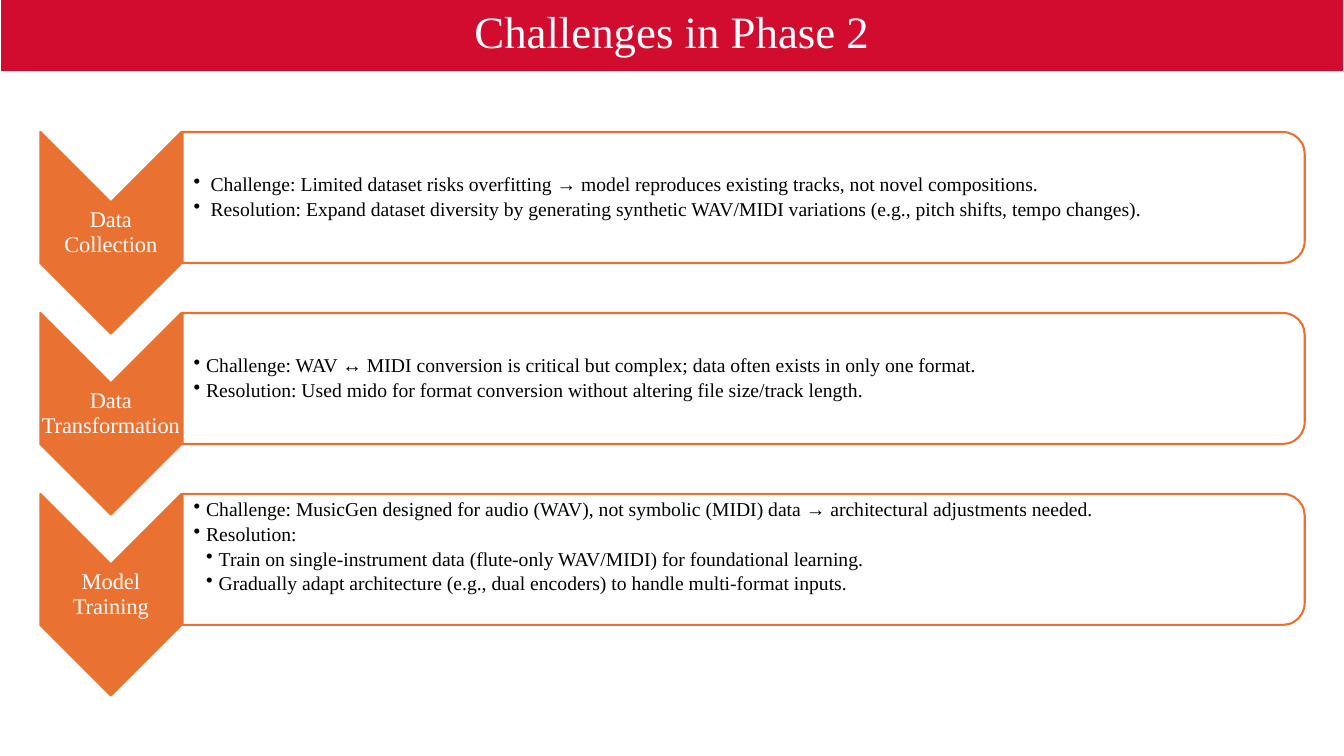
import pptx
import pptx.dml.color
import pptx.enum.shapes
import pptx.enum.text
import pptx.oxml
import pptx.oxml.ns
import pptx.util
from pptx.util import Inches

RED = pptx.dml.color.RGBColor(0xD2, 0x0C, 0x2F)
ORANGE = pptx.dml.color.RGBColor(0xE9, 0x71, 0x32)
WHITE = pptx.dml.color.RGBColor(0xFF, 0xFF, 0xFF)
BLACK = pptx.dml.color.RGBColor(0, 0, 0)
FONT = "Times New Roman"
SHAPE = pptx.enum.shapes.MSO_SHAPE
CENTER = pptx.enum.text.PP_ALIGN.CENTER

ROW_TOP, ROW_PITCH = 1.31, 1.795
HANGING = 0.125

# Label, bullet hanging indent, bottom inset, (level, text) of each bullet
CHALLENGES = [
    ("Data Collection", 0.17, 0.01, [
        (0, "Challenge: Limited dataset risks overfitting → model reproduces "
            "existing tracks, not novel compositions."),
        (0, "Resolution: Expand dataset diversity by generating synthetic "
            "WAV/MIDI variations (e.g., pitch shifts, tempo changes)."),
    ]),
    ("Data Transformation", HANGING, 0.01, [
        (0, "Challenge: WAV ↔ MIDI conversion is critical but complex; "
            "data often exists in only one format."),
        (0, "Resolution: Used mido for format conversion without altering "
            "file size/track length."),
    ]),
    ("Model Training", HANGING, 0.25, [
        (0, "Challenge: MusicGen designed for audio (WAV), not symbolic (MIDI) "
            "data → architectural adjustments needed."),
        (0, "Resolution:"),
        (1, "Train on single-instrument data (flute-only WAV/MIDI) for "
            "foundational learning."),
        (1, "Gradually adapt architecture (e.g., dual encoders) to handle "
            "multi-format inputs."),
    ]),
]


def format_paragraph(p, size, color):
    p.line_spacing = 0.9
    for r in p.runs:
        r.font.name = FONT
        r.font.size = pptx.util.Pt(size)
        r.font.color.rgb = color


def add_title(s, text):
    title = s.shapes.title
    title.left, title.top = Inches(0), Inches(-0.03)
    title.width, title.height = Inches(13.33), Inches(0.74)
    title.fill.solid()
    title.fill.fore_color.rgb = RED
    title.line.color.rgb = WHITE
    title.line.width = pptx.util.Pt(0.75)
    tf = title.text_frame
    tf.text = text
    tf.auto_size = pptx.enum.text.MSO_AUTO_SIZE.NONE
    tf.vertical_anchor = pptx.enum.text.MSO_ANCHOR.MIDDLE
    tf.paragraphs[0].alignment = CENTER
    format_paragraph(tf.paragraphs[0], 32, WHITE)


def add_turned_shape(s, kind, left, top, width, height, fill):
    """Add a shape turned by 90° that covers the given box on the slide."""
    x, y = left + (width - height) / 2, top + (height - width) / 2
    sp = s.shapes.add_shape(kind, Inches(x), Inches(y),
                            Inches(height), Inches(width))
    sp.rotation = 90
    sp.shadow.inherit = False
    sp.fill.solid()
    sp.fill.fore_color.rgb = fill
    sp.line.color.rgb = ORANGE
    sp.line.width = pptx.util.Pt(1.5)
    return sp


def set_opacity(sp, percent):
    color = sp.fill._xPr.find(".//" + pptx.oxml.ns.qn("a:srgbClr"))
    alpha = pptx.oxml.parse_xml(
        f'<a:alpha {pptx.oxml.ns.nsdecls("a")} val="{percent * 1000}"/>')
    color.append(alpha)


def add_text_frame(s, left, top, width, height, left_inset, bottom_inset):
    tf = s.shapes.add_textbox(Inches(left), Inches(top),
                              Inches(width), Inches(height)).text_frame
    tf.word_wrap = True
    tf.vertical_anchor = pptx.enum.text.MSO_ANCHOR.MIDDLE
    tf.margin_left, tf.margin_bottom = Inches(left_inset), Inches(bottom_inset)
    tf.margin_right = tf.margin_top = Inches(0.01)
    return tf


def add_bullet(p, level, hanging):
    p.level = level
    pPr = p._p.get_or_add_pPr()
    pPr.set("marL", str(Inches(hanging * (level + 1))))
    pPr.set("indent", str(-Inches(hanging)))
    pPr.append(pptx.oxml.parse_xml(
        f'<a:buChar {pptx.oxml.ns.nsdecls("a")} char="•"/>'))


def add_challenge(s, top, label, hanging, bottom_inset, bullets):
    add_turned_shape(s, SHAPE.CHEVRON, 0.4, top, 1.4, 2, ORANGE)
    tf = add_text_frame(s, 0.4, top + 0.7, 1.4, 0.6, 0.01, 0.01)
    tf.text = label
    tf.paragraphs[0].alignment = CENTER
    format_paragraph(tf.paragraphs[0], 16, WHITE)

    panel = add_turned_shape(s, SHAPE.ROUND_2_SAME_RECTANGLE,
                             1.81, top, 11.13, 1.3, WHITE)
    set_opacity(panel, 90)
    tf = add_text_frame(s, 1.81, top + 0.06, 11.06, 1.18, 0.11, bottom_inset)
    tf.text = "\n".join(text for _, text in bullets)
    for p, (level, _) in zip(tf.paragraphs, bullets):
        add_bullet(p, level, hanging)
        format_paragraph(p, 14, BLACK)
        p.space_after = pptx.util.Pt(2.5)


def main():
    prs = pptx.Presentation()
    prs.slide_width, prs.slide_height = Inches(13.33), Inches(7.5)
    s = prs.slides.add_slide(prs.slide_layouts.get_by_name("Title Only"))
    add_title(s, "Challenges in Phase 2")
    for i, challenge in enumerate(CHALLENGES):
        add_challenge(s, ROW_TOP + i * ROW_PITCH, *challenge)
    prs.save("out.pptx")


if __name__ == "__main__":
    main()
